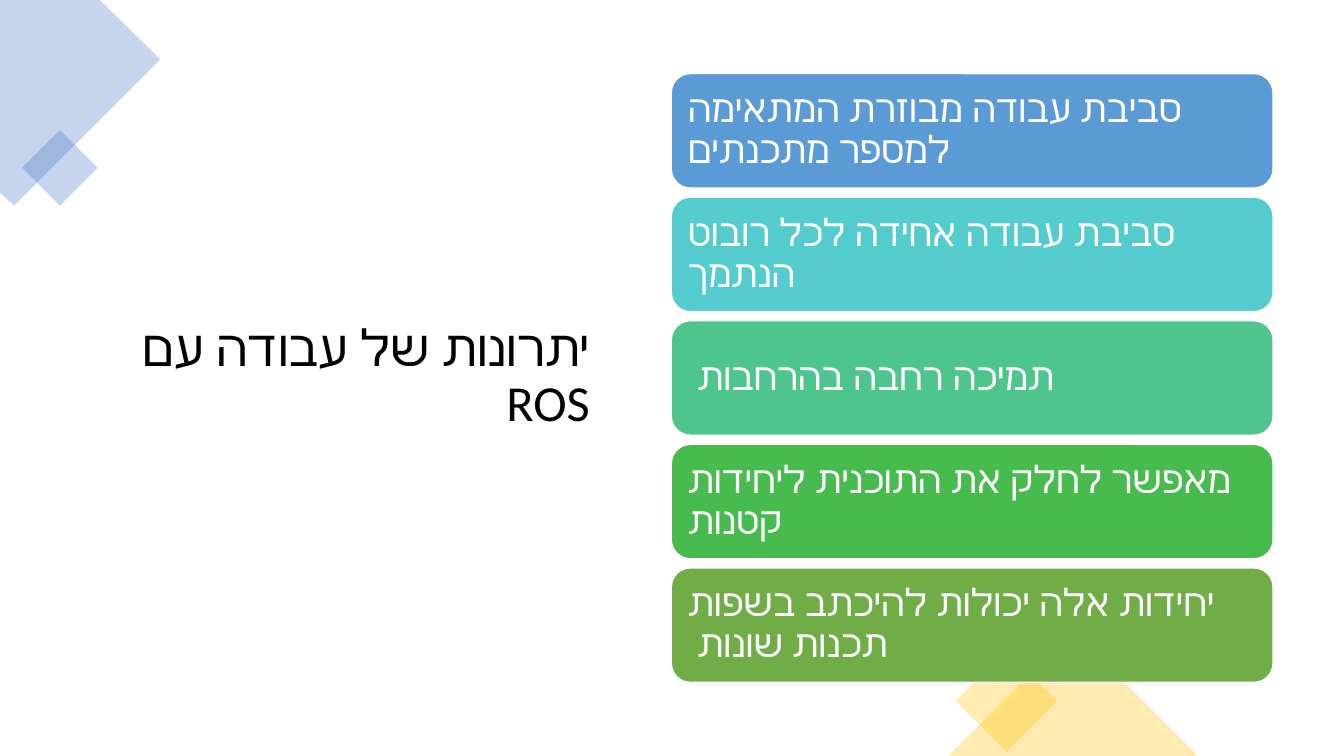
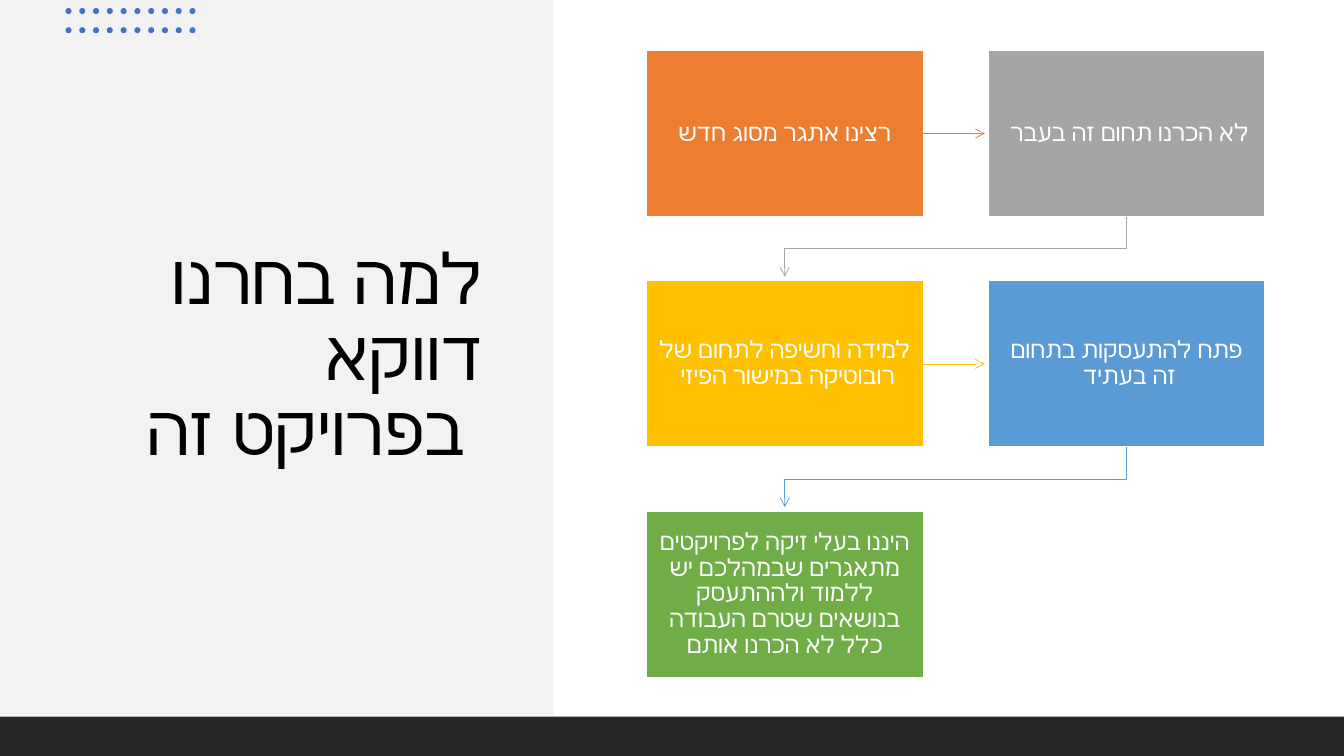
from dataclasses import dataclass

from lxml import etree
from pptx import Presentation
from pptx import util as u
from pptx.dml.color import RGBColor
from pptx.enum import lang, shapes, text
from pptx.oxml.ns import qn


@dataclass(frozen=True)
class Theme:
    font: str = "Calibri"
    black: str = "000000"
    white: str = "FFFFFF"
    panel: str = "F2F2F2"
    footer: str = "262626"
    navy: str = "4472C4"
    orange: str = "ED7D31"
    gray: str = "A5A5A5"
    gold: str = "FFC000"
    blue: str = "5B9BD5"
    turquoise: str = "54CCCD"
    mint: str = "4DC58D"
    emerald: str = "48BB4F"
    green: str = "70AD47"
    side_title: int = 36
    big_title: int = 50
    card: int = 27
    step: int = 17
    tint: int = 30
    outline: float = 1
    arrow: float = 0.5


@dataclass(frozen=True)
class Box:
    x: float
    y: float
    w: float
    h: float

    def inches(self):
        return [u.Inches(v) for v in (self.x, self.y, self.w, self.h)]

    def cell(self, col, row, pitch, size):
        return Box(self.x + col * pitch[0], self.y + row * pitch[1], *size)


THEME = Theme()
SLIDE = Box(0, 0, 13.333, 7.5)
KIND = shapes.MSO_SHAPE
ALIGN = text.PP_ALIGN


# Shared parts
def paint(shape, fill, outline=None, opacity=None):
    shape.shadow.inherit = False
    shape.fill.solid()
    shape.fill.fore_color.rgb = RGBColor.from_string(fill)
    if opacity:
        color = shape.fill._xPr.find(qn("a:solidFill"))[0]
        etree.SubElement(color, qn("a:alpha"), val=str(opacity * 1000))
    if outline:
        shape.line.color.rgb = RGBColor.from_string(outline)
        shape.line.width = u.Pt(THEME.outline)
    else:
        shape.line.fill.background()
    return shape


def block(slide, kind, box, fill, outline=None, opacity=None):
    return paint(slide.shapes.add_shape(kind, *box.inches()), fill, outline, opacity)


def outline_path(slide, points, close):
    # Freeform points are whole numbers, so they are given in EMU
    start, *rest = [(u.Inches(x), u.Inches(y)) for x, y in points]
    builder = slide.shapes.build_freeform(*start)
    builder.add_line_segments(rest, close=close)
    return builder.convert_to_shape()


def write(shape, words, size, color, align, insets, rtl=True):
    frame = shape.text_frame
    frame.word_wrap = True
    frame.vertical_anchor = text.MSO_ANCHOR.MIDDLE
    frame.margin_left = frame.margin_right = u.Inches(insets[0])
    frame.margin_top = frame.margin_bottom = u.Inches(insets[1])
    line = frame.paragraphs[0]
    line.alignment = align
    line.line_spacing = 0.9
    if rtl:
        line._p.get_or_add_pPr().set("rtl", "1")
    run = line.add_run()
    run.text = words
    run.font.size = u.Pt(size)
    run.font.color.rgb = RGBColor.from_string(color)
    run.font.name = THEME.font
    run.font.language_id = lang.MSO_LANGUAGE_ID.HEBREW


def title(slide, box, words, size, rtl=True):
    write(slide.shapes.add_textbox(*box.inches()), words, size,
          THEME.black, ALIGN.RIGHT, (0.1, 0.05), rtl)


def arrow_line(shape, color):
    shape.line.color.rgb = RGBColor.from_string(color)
    shape.line.width = u.Pt(THEME.arrow)
    etree.SubElement(shape.line._get_or_add_ln(), qn("a:tailEnd"), type="arrow")


# Advantages slide
def corner_diamonds(slide):
    corner = [(0, 0), (0.99, 0), (1.59, 0.59), (0.14, 2.04), (0, 1.91)]
    paint(outline_path(slide, corner, True), THEME.navy, opacity=THEME.tint)
    for box, color in ((Box(0.33, 1.4, 0.53, 0.53), THEME.navy),
                       (Box(9.63, 6.6, 0.71, 0.71), THEME.gold)):
        block(slide, KIND.RECTANGLE, box, color, opacity=THEME.tint).rotation = 45
    block(slide, KIND.ISOSCELES_TRIANGLE, Box(9.41, 6.26, 2.47, 1.24),
          THEME.gold, opacity=THEME.tint)


def card_stack(slide, box, cards):
    gap = 0.09
    height = (box.h - gap * (len(cards) - 1)) / len(cards)
    for row, (color, words) in enumerate(cards):
        place = box.cell(0, row, (0, height + gap), (box.w, height))
        card = block(slide, KIND.ROUNDED_RECTANGLE, place, color, THEME.white)
        # The rounded corners already inset the text a little
        write(card, words, THEME.card, THEME.white, ALIGN.LEFT, (0.11, 0.11))


def advantages_slide(slide):
    title(slide, Box(0.7, 0.7, 5.25, 6.09), "יתרונות של עבודה עם ROS",
          THEME.side_title)
    corner_diamonds(slide)
    card_stack(slide, Box(6.66, 0.73, 5.97, 6.04), [
        (THEME.blue, "סביבת עבודה מבוזרת המתאימה למספר מתכנתים"),
        (THEME.turquoise, "סביבת עבודה אחידה לכל רובוט הנתמך"),
        (THEME.mint, "תמיכה רחבה בהרחבות "),
        (THEME.emerald, "מאפשר לחלק את התוכנית ליחידות קטנות"),
        (THEME.green, "יחידות אלה יכולות להיכתב בשפות תכנות שונות "),
    ])


# Motivation slide
def dot_grid(slide, box, cols=10, rows=2, dot=0.06):
    pitch = ((box.w - dot) / (cols - 1), (box.h - dot) / (rows - 1))
    for index in range(cols * rows):
        row, col = divmod(index, cols)
        block(slide, KIND.OVAL, box.cell(col, row, pitch, (dot, dot)), THEME.navy)


def arrow_across(slide, step, place, gap, color):
    middle = u.Inches(place.y + place.h / 2)
    right = place.x + place.w
    link = slide.shapes.add_connector(
        shapes.MSO_CONNECTOR.STRAIGHT, u.Inches(right), middle,
        u.Inches(right + gap - 0.03), middle)
    link.begin_connect(step, 3)
    etree.SubElement(link._element.spPr, qn("a:effectLst"))
    arrow_line(link, color)


def arrow_down(slide, place, pitch, color):
    start = place.x + place.w / 2
    end = start - pitch[0]
    top = place.y + place.h
    turn = top + (pitch[1] - place.h) / 2
    tip = place.y + pitch[1] - 0.04
    link = outline_path(
        slide, [(start, top), (start, turn), (end, turn), (end, tip)], False)
    link.shadow.inherit = False
    link.fill.background()
    arrow_line(link, color)


def step_flow(slide, box, steps, cols=2, rows=3):
    size = (2.75, 1.65)
    pitch = ((box.w - size[0]) / (cols - 1), (box.h - size[1]) / (rows - 1))
    for index, (color, words) in enumerate(steps):
        row, col = divmod(index, cols)
        place = box.cell(col, row, pitch, size)
        step = block(slide, KIND.RECTANGLE, place, color, THEME.white)
        write(step, words, THEME.step, THEME.white, ALIGN.CENTER, (0.13, 0.14))
        if index == len(steps) - 1:
            continue
        if col < cols - 1:
            arrow_across(slide, step, place, pitch[0] - size[0], color)
        else:
            arrow_down(slide, place, pitch, color)


def motivation_slide(slide):
    footer_top = 7.11
    block(slide, KIND.RECTANGLE, Box(0, 0, 5.49, 7.1), THEME.panel)
    title(slide, Box(0.65, 1.32, 4.24, 4.45), "למה בחרנו דווקא בפרויקט זה ",
          THEME.big_title, rtl=False)
    dot_grid(slide, Box(0.65, 0.08, 1.29, 0.25))
    block(slide, KIND.RECTANGLE,
          Box(0, footer_top, SLIDE.w, SLIDE.h - footer_top), THEME.footer)
    step_flow(slide, Box(6.41, 0.5, 6.14, 6.22), [
        (THEME.orange, "רצינו אתגר מסוג חדש"),
        (THEME.gray, "לא הכרנו תחום זה בעבר "),
        (THEME.gold, "למידה וחשיפה לתחום של רובוטיקה במישור הפיזי "),
        (THEME.blue, "פתח להתעסקות בתחום זה בעתיד "),
        (THEME.green, "היננו בעלי זיקה לפרויקטים מתאגרים שבמהלכם יש ללמוד "
                      "ולההתעסק בנושאים שטרם העבודה כלל לא הכרנו אותם"),
    ])


def main():
    deck = Presentation()
    deck.slide_width = u.Inches(SLIDE.w)
    deck.slide_height = u.Inches(SLIDE.h)
    for build in (advantages_slide, motivation_slide):
        build(deck.slides.add_slide(deck.slide_layouts[6]))
    deck.save("out.pptx")


if __name__ == "__main__":
    main()
